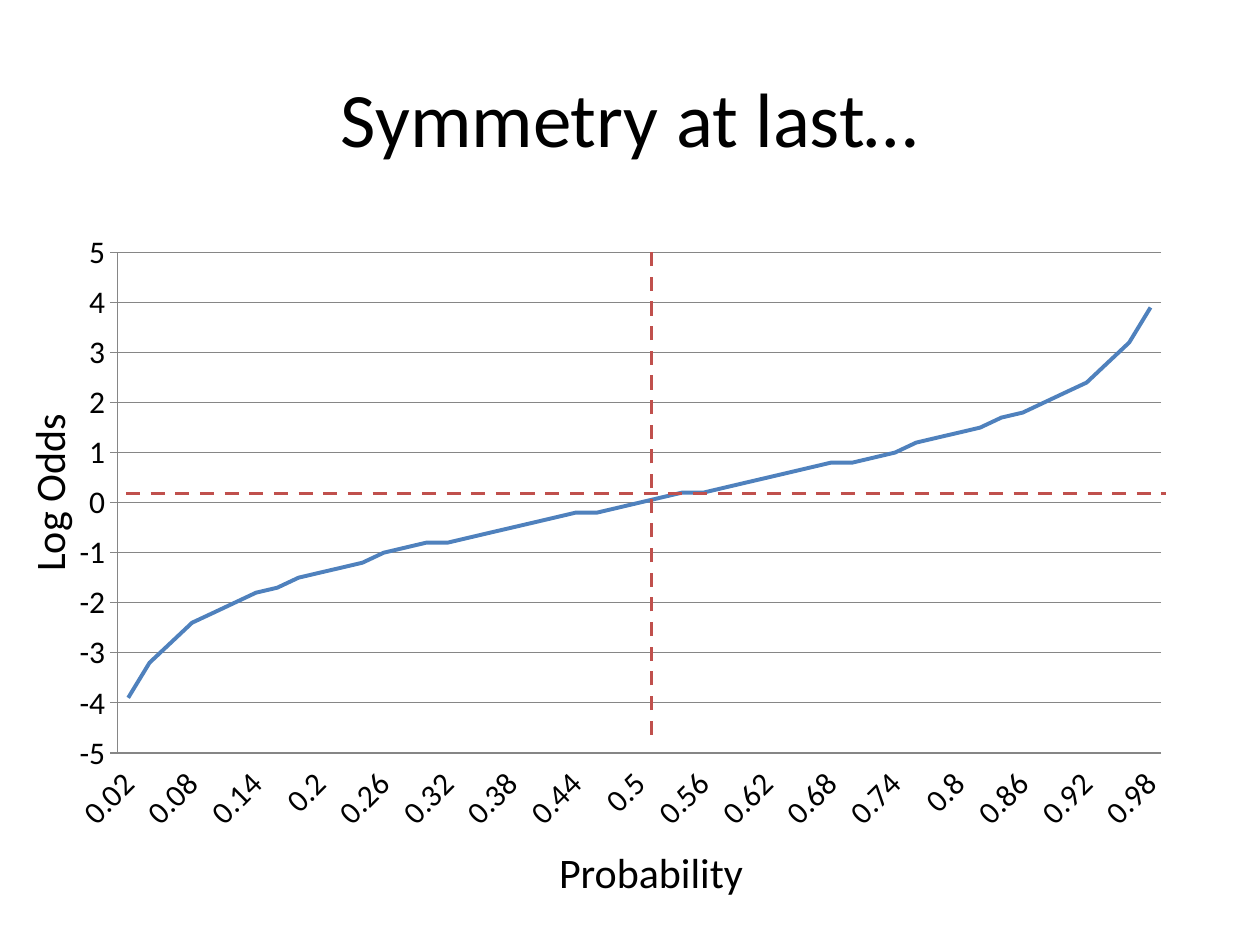
from math import log

from pptx import Presentation
from pptx.chart.data import CategoryChartData
from pptx.dml.color import RGBColor
from pptx.enum.chart import XL_CHART_TYPE, XL_TICK_LABEL_POSITION, XL_TICK_MARK
from pptx.enum.dml import MSO_LINE
from pptx.enum.shapes import MSO_CONNECTOR
from pptx.enum.text import MSO_ANCHOR, PP_ALIGN
from pptx.oxml import parse_xml
from pptx.oxml.ns import nsdecls, qn
from pptx.util import Cm, Pt

LINE_CHART = XL_CHART_TYPE.LINE
LABELS_LOW = XL_TICK_LABEL_POSITION.LOW
TICK_NONE, TICK_OUT = XL_TICK_MARK.NONE, XL_TICK_MARK.OUTSIDE
STRAIGHT = MSO_CONNECTOR.STRAIGHT
DASH = MSO_LINE.DASH
CENTER = PP_ALIGN.CENTER
MIDDLE, TOP = MSO_ANCHOR.MIDDLE, MSO_ANCHOR.TOP

FONT = "Calibri"
BLACK, BLUE, RED, GRAY = "000000", "4F81BD", "C0504D", "868686"


def color(hex_string):
    return RGBColor.from_string(hex_string)


def format_font(font, size):
    font.name = FONT
    font.size = Pt(size)
    font.color.rgb = color(BLACK)


def format_line(line, hex_string, width):
    line.color.rgb = color(hex_string)
    line.width = Pt(width)


def add_text(slide, text, box, size=24, anchor=TOP, rotation=0):
    shape = slide.shapes.add_textbox(*(Cm(length) for length in box))
    shape.rotation = rotation
    frame = shape.text_frame
    frame.word_wrap = True
    frame.vertical_anchor = anchor
    paragraph = frame.paragraphs[0]
    paragraph.alignment = CENTER
    run = paragraph.add_run()
    run.text = text
    format_font(run.font, size)


def add_dashed_line(slide, start, end):
    points = (Cm(length) for length in (*start, *end))
    connector = slide.shapes.add_connector(STRAIGHT, *points)
    format_line(connector.line, RED, 2)
    connector.line.dash_style = DASH
    connector._element.spPr.append(parse_xml(f"<a:effectLst {nsdecls('a')}/>"))


def log_odds_data():
    probabilities = [round(step * 0.02, 2) for step in range(1, 50)]
    data = CategoryChartData()
    data.categories = probabilities
    data.add_series("Series 1", [round(log(p / (1 - p)), 1) for p in probabilities])
    return data


def set_plot_layout(chart, x, y, w, h):
    """Fix the inner plot area, as fractions of the chart."""
    plot_area = chart.element.find(".//" + qn("c:plotArea"))
    for layout in plot_area.findall(qn("c:layout")):
        plot_area.remove(layout)
    plot_area.insert(0, parse_xml(
        f'<c:layout {nsdecls("c")}><c:manualLayout><c:layoutTarget val="inner"/>'
        '<c:xMode val="edge"/><c:yMode val="edge"/>'
        f'<c:x val="{x}"/><c:y val="{y}"/><c:w val="{w}"/><c:h val="{h}"/>'
        "</c:manualLayout></c:layout>"))


def set_category_labels(chart, skip, degrees):
    """Show every skip-th category label, turned by the given angle."""
    axis = chart.element.find(".//" + qn("c:catAx"))
    axis.find(qn("c:txPr")).find(qn("a:bodyPr")).set("rot", str(degrees * 60000))
    axis.find(qn("c:noMultiLvlLbl")).addprevious(
        parse_xml(f'<c:tickLblSkip {nsdecls("c")} val="{skip}"/>'))


def add_log_odds_chart(slide, left, top, width, height):
    # Chart and curve
    frame = slide.shapes.add_chart(
        LINE_CHART, Cm(left), Cm(top), Cm(width), Cm(height), log_odds_data())
    chart = frame.chart
    chart.has_legend = False
    chart.has_title = False
    format_font(chart.font, 18)
    plot = chart.plots[0]
    plot.vary_by_categories = False
    curve = plot.series[0]
    curve.smooth = False
    format_line(curve.format.line, BLUE, 2.25)

    # Axes
    category_axis, value_axis = chart.category_axis, chart.value_axis
    category_axis.major_tick_mark = TICK_NONE
    category_axis.tick_label_position = LABELS_LOW
    value_axis.major_tick_mark = TICK_OUT
    value_axis.minimum_scale, value_axis.maximum_scale = -5, 5
    value_axis.major_unit = 1
    value_axis.has_major_gridlines = True
    format_line(value_axis.major_gridlines.format.line, GRAY, 0.75)
    for axis in (category_axis, value_axis):
        format_line(axis.format.line, GRAY, 0.75)
        format_font(axis.tick_labels.font, 18)
    set_category_labels(chart, skip=3, degrees=-45)
    set_plot_layout(chart, 1.3 / width, 0.64 / height, 21.04 / width, 10.09 / height)

    # Lines of symmetry
    middle_x, middle_y = left + 12.06, top + 5.5
    add_dashed_line(slide, (middle_x, top + 10.36), (middle_x, top + 0.64))

    # Axis titles
    add_text(slide, "Probability", (left + 8.03, top + 12.5, 8.05, 1.27))
    add_text(slide, "Log Odds", (left - 4.12, top + 4.85, 8.05, 1.27), rotation=270)

    add_dashed_line(slide, (left + 1.47, middle_y), (left + 22.43, middle_y))


def main():
    presentation = Presentation()
    presentation.slide_width, presentation.slide_height = Cm(25.4), Cm(19.05)
    slide = presentation.slides.add_slide(presentation.slide_layouts[6])
    add_text(slide, "Symmetry at last…", (1.27, 0.76, 22.86, 3.18), size=44, anchor=MIDDLE)
    add_log_odds_chart(slide, 1.07, 4.45, 22.86, 12.57)
    presentation.save("out.pptx")


if __name__ == "__main__":
    main()
